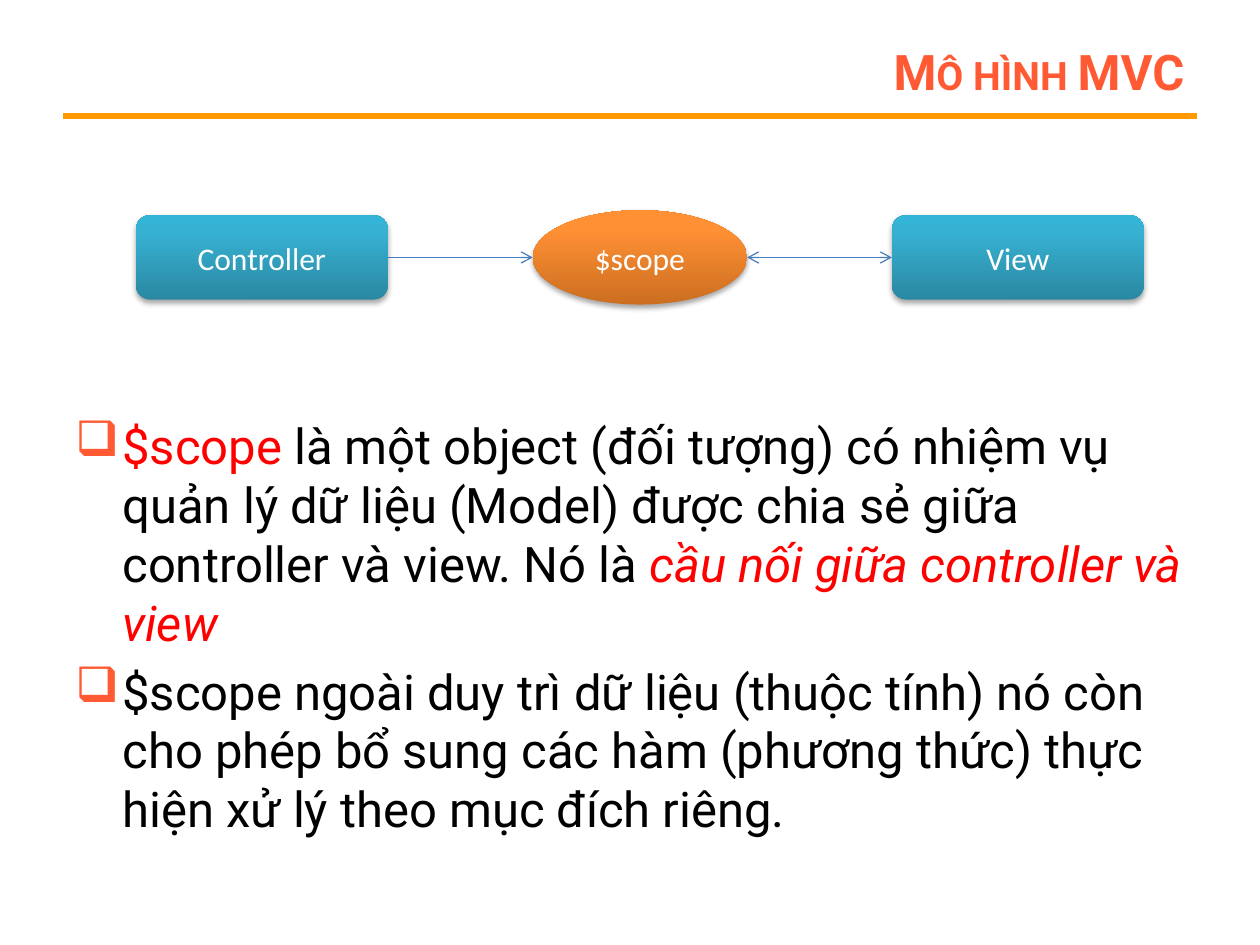
from dataclasses import dataclass

import lxml.etree
import pptx
import pptx.dml.color
import pptx.enum.shapes
import pptx.enum.text
import pptx.oxml
import pptx.oxml.ns
import pptx.util

Cm, Pt = pptx.util.Cm, pptx.util.Pt
RGB = pptx.dml.color.RGBColor.from_string
SHAPE = pptx.enum.shapes.MSO_SHAPE
STRAIGHT = pptx.enum.shapes.MSO_CONNECTOR.STRAIGHT
ALIGN = pptx.enum.text.PP_ALIGN
MIDDLE = pptx.enum.text.MSO_ANCHOR.MIDDLE
qn = pptx.oxml.ns.qn
NS = pptx.oxml.ns.nsdecls("a")


@dataclass(frozen=True)
class Theme:
    accent: str = "FF5A33"
    rule: str = "FF9900"
    arrow: str = "4B7EBC"
    text: str = "000000"
    highlight: str = "FF0000"
    on_fill: str = "FFFFFF"
    blue: tuple = ("2A88A2", "37B1D2", "34B4D6")
    orange: tuple = ("CC6E20", "FF9034", "FF9136")
    font: str = "Roboto"
    box_font: str = "Calibri"
    size: int = 28
    box_size: int = 18


theme = Theme()


def add_run(p, text, color, font=theme.font, size=theme.size):
    r = p.add_run()
    r.text = text
    r.font.name, r.font.size = font, Pt(size)
    r.font.color.rgb = RGB(color)
    return r


def add_line(x1, y1, x2, y2, color, width):
    c = s.shapes.add_connector(STRAIGHT, Cm(x1), Cm(y1), Cm(x2), Cm(y2))
    c.line.color.rgb = RGB(color)
    c.line.width = Pt(width)
    lxml.etree.SubElement(c._element.spPr, qn("a:effectLst"))
    return c


prs = pptx.Presentation()
prs.slide_width, prs.slide_height = Cm(25.4), Cm(19.05)
s = prs.slides.add_slide(prs.slide_layouts[5])

# Title and rule
add_line(1.27, 2.34, 24.13, 2.34, theme.rule, 3)
title = s.shapes.title
title.left, title.top, title.width, title.height = Cm(5.72), Cm(0.76), Cm(18.41), Cm(1.35)
tf = title.text_frame
tf.vertical_anchor = MIDDLE
p = tf.paragraphs[0]
p.alignment = ALIGN.RIGHT
r = add_run(p, "Mô hình MVC", theme.accent)
r.font.bold = True
r.font._element.set("cap", "small")

# Explanation
body = s.shapes.add_textbox(Cm(1.27), Cm(8.26), Cm(22.86), Cm(9.96))
tf = body.text_frame
tf.word_wrap = True
paragraphs = [
    [("$scope", theme.highlight, False),
     (" là một object\u00a0(đối tượng) có nhiệm vụ quản lý dữ liệu (Model) "
      "được chia sẻ giữa controller và view. Nó là ", theme.text, False),
     ("cầu nối giữa controller và view", theme.highlight, True)],
    [("$scope ngoài duy trì dữ liệu (thuộc tính) nó còn cho phép bổ sung các hàm "
      "(phương thức) thực hiện xử lý theo mục đích riêng.", theme.text, False)],
]
for i, runs in enumerate(paragraphs):
    p = tf.add_paragraph() if i else tf.paragraphs[0]
    p.space_before = Pt(theme.size * 0.2)
    pPr = p._p.get_or_add_pPr()
    pPr.set("marL", str(Cm(0.95)))
    pPr.set("indent", str(Cm(-0.95)))
    pPr.append(pptx.oxml.parse_xml(
        f'<a:buClr {NS}><a:srgbClr val="{theme.accent}"/></a:buClr>'))
    pPr.append(pptx.oxml.parse_xml(f'<a:buChar {NS} char="❑"/>'))
    for text, color, italic in runs:
        add_run(p, text, color).font.italic = italic

# Diagram nodes, all centred on one axis
axis = 5.19
nodes = {}
for text, kind, x, w, h, colors in [
    ("Controller", SHAPE.ROUNDED_RECTANGLE, 2.74, 5.08, 1.7, theme.blue),
    ("View", SHAPE.ROUNDED_RECTANGLE, 17.98, 5.08, 1.7, theme.blue),
    ("$scope", SHAPE.OVAL, 10.74, 4.32, 1.9, theme.orange),
]:
    sp = s.shapes.add_shape(kind, Cm(x), Cm(axis - h / 2), Cm(w), Cm(h))
    sp.line.fill.background()
    stops = "".join(f'<a:gs pos="{pos}"><a:srgbClr val="{color}"/></a:gs>'
                    for pos, color in zip((0, 80000, 100000), colors))
    spPr = sp._element.spPr
    spPr.find(qn("a:ln")).addprevious(pptx.oxml.parse_xml(
        f'<a:gradFill {NS} rotWithShape="1"><a:gsLst>{stops}</a:gsLst>'
        '<a:lin ang="16200000" scaled="0"/></a:gradFill>'))
    spPr.append(pptx.oxml.parse_xml(
        f'<a:effectLst {NS}><a:outerShdw blurRad="{Pt(3.1)}" dist="{Pt(1.8)}" dir="5400000" '
        'rotWithShape="0"><a:srgbClr val="000000"><a:alpha val="35000"/></a:srgbClr>'
        '</a:outerShdw></a:effectLst>'))
    tf = sp.text_frame
    tf.vertical_anchor = MIDDLE
    p = tf.paragraphs[0]
    p.alignment = ALIGN.CENTER
    add_run(p, text, theme.on_fill, theme.box_font, theme.box_size)
    nodes[text] = sp

# Arrows
to_view = add_line(15.06, axis, 17.98, axis, theme.arrow, 0.75)
to_view.end_connect(nodes["View"], 1)
to_scope = add_line(7.82, axis, 10.74, axis, theme.arrow, 0.75)
to_scope.begin_connect(nodes["Controller"], 3)
for c, ends in [(to_view, ("headEnd", "tailEnd")), (to_scope, ("tailEnd",))]:
    for end in ends:
        lxml.etree.SubElement(c.line._get_or_add_ln(), qn(f"a:{end}"), type="arrow")

prs.save("out.pptx")
